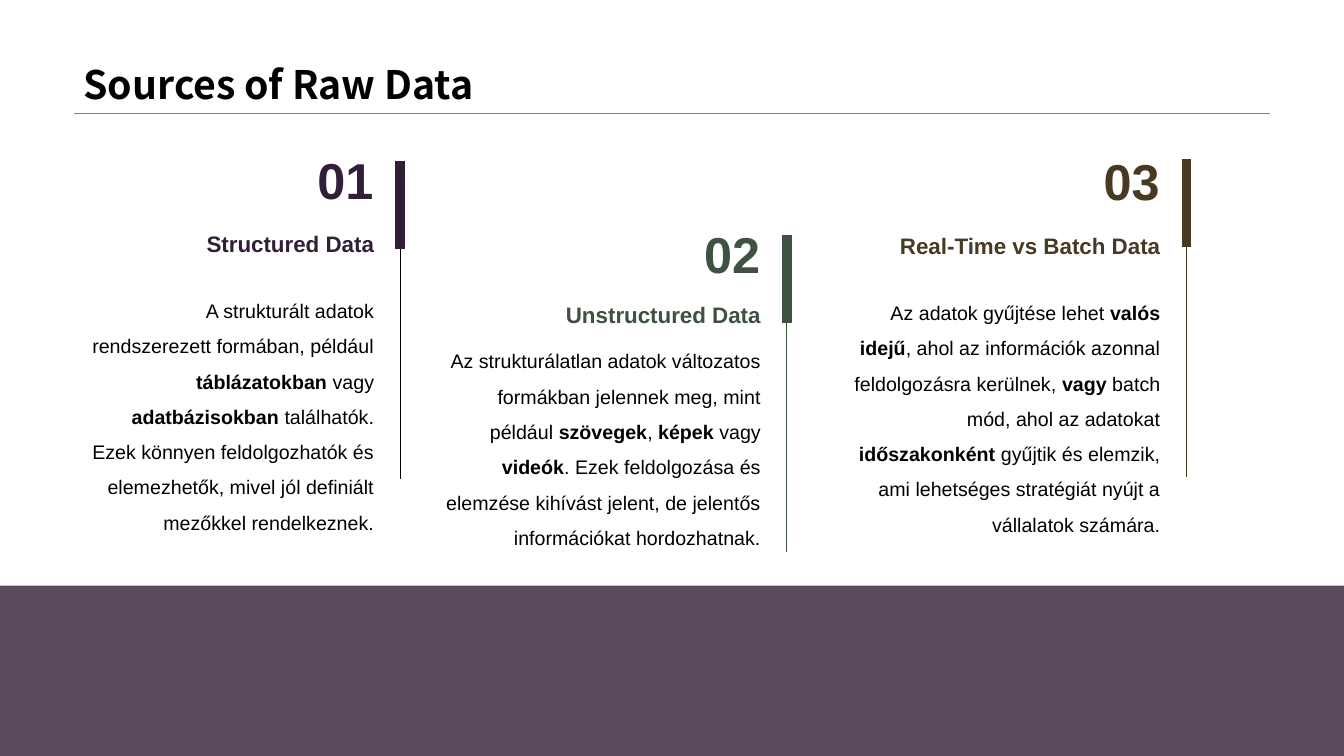
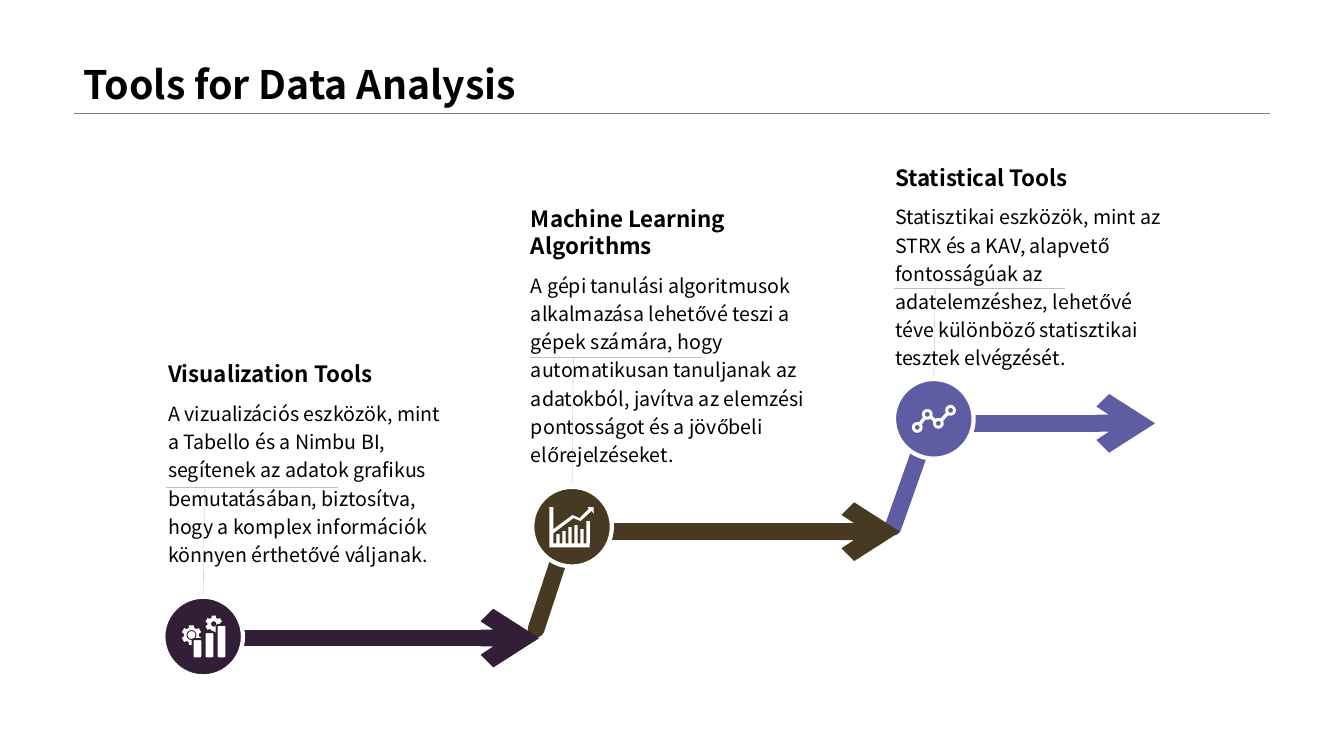
import math

from lxml import etree
from pptx import Presentation
from pptx import util as u
from pptx.dml.color import RGBColor
from pptx.enum import shapes, text
from pptx.oxml import ns

Pt = u.Pt
COLORS = {
    "plum": "321F37", "green": "3F513F", "brown": "483A22", "violet": "5E5CA2",
    "black": "000000", "white": "FFFFFF", "rule": "808080", "leader": "BFBFBF",
}
SANS, NOTO = "Arial", "Noto Sans CJK SC"


def rgb(name):
    return RGBColor.from_string(COLORS[name])


def sub(parent, tag, **attrs):
    return etree.SubElement(parent, ns.qn(tag), **attrs)


class Deck:
    def __init__(self):
        self.prs = Presentation()
        self.prs.slide_width, self.prs.slide_height = Pt(960), Pt(540)
        self.s = None

    def slide(self, title):
        self.s = self.prs.slides.add_slide(self.prs.slide_layouts[6])
        self.line((52.6, 80.8), (907.2, 80.8), "rule", 0.25)
        self.text((52.6, 0, 854.6, 80.6), f"*{title}*", 28, NOTO,
                  bottom=True, spacing=0.9)

    def line(self, start, end, color, width, arrow=False, cap=None):
        sp = self.s.shapes.add_connector(
            shapes.MSO_CONNECTOR.STRAIGHT, *map(Pt, start + end))
        sp.line.color.rgb = rgb(color)
        sp.line.width = Pt(width)
        ln = sp.line._get_or_add_ln()
        if cap:
            ln.set("cap", cap)
        if arrow:
            sub(ln, "a:tailEnd", type="arrow")
        sub(sp._element.spPr, "a:effectLst")

    def text(self, box, content, size, font, color="black", right=False,
             bottom=False, spacing=None, wrap=True):
        tf = self.s.shapes.add_textbox(*map(Pt, box)).text_frame
        tf.word_wrap = wrap
        anchor = text.MSO_ANCHOR
        tf.vertical_anchor = anchor.BOTTOM if bottom else anchor.TOP
        p = tf.paragraphs[0]
        p.alignment = text.PP_ALIGN.RIGHT if right else text.PP_ALIGN.LEFT
        if spacing:
            p.line_spacing = spacing
        for i, part in enumerate(content.split("*")):
            if part:
                r = p.add_run()
                r.text = part
                r.font.size, r.font.name = Pt(size), font
                r.font.bold = i % 2 == 1
                r.font.color.rgb = rgb(color)

    def paint(self, sp, fill, line=None, width=0):
        sp.shadow.inherit = False
        if fill:
            sp.fill.solid()
            sp.fill.fore_color.rgb = rgb(fill)
        else:
            sp.fill.background()
        if line:
            sp.line.color.rgb = rgb(line)
            sp.line.width = Pt(width)
        else:
            sp.line.fill.background()
        return sp

    def shape(self, kind, box, fill, line=None, width=0):
        sp = self.s.shapes.add_shape(kind, *map(Pt, box))
        return self.paint(sp, fill, line, width)

    def circle(self, center, radius, fill, line=None, width=0):
        x, y = center
        box = (x - radius, y - radius, 2 * radius, 2 * radius)
        return self.shape(shapes.MSO_SHAPE.OVAL, box, fill, line, width)

    def outline(self, center, contours, fill="white", line=None, width=0, close=True):
        cx, cy = center
        fb = None
        for contour in contours:
            pts = [(Pt(cx + x), Pt(cy + y)) for x, y in contour]
            if fb is None:
                fb = self.s.shapes.build_freeform(*pts[0], scale=1.0)
            else:
                fb.move_to(*pts[0])
            fb.add_line_segments(pts[1:], close=close)
        return self.paint(fb.convert_to_shape(), fill, line, width)

    def band(self, box, color, alpha):
        sp = self.shape(shapes.MSO_SHAPE.RECTANGLE, box, color)
        clr = sp._element.spPr.find(".//" + ns.qn("a:srgbClr"))
        sub(clr, "a:alpha", val=str(alpha * 1000))


def polar(radius, degrees):
    a = math.radians(degrees)
    return radius * math.cos(a), radius * math.sin(a)


def gear(radius, hole):
    teeth = [polar(radius * f, 60 * k - 90 + a) for k in range(6)
             for f, a in ((1, -14), (1, 14), (0.76, 20), (0.76, 40))]
    return [teeth, [polar(hole, a) for a in range(0, 360, 15)]]


def gears_icon(deck, center, color):
    cx, cy = center
    deck.outline((cx - 8.3, cy - 1.1), gear(7.2, 3.6))
    deck.circle((cx - 8.3, cy - 1.1), 2.8, "white")
    deck.outline((cx + 7.6, cy - 9), gear(6.1, 1.9))
    for i, top in enumerate((2.5, -2.5, -7.6)):
        box = (cx - 7.5 + 8.6 * i, cy + top - 0.7, 6.9, 16.2 - top)
        deck.shape(shapes.MSO_SHAPE.ROUNDED_RECTANGLE, box, "white", color, 1.4)


def chart_icon(deck, center, color):
    axes = [(-16.2, -14), (-13.3, -14), (-13.3, 11.9), (12.6, 11.9),
            (12.6, 14.8), (-16.2, 14.8)]
    trend = [(-13.3, 1.8), (0.4, -8.3), (5.4, -6.1), (11.9, -12.6), (11.2, -14),
             (15.5, -14), (15.5, -9), (14, -11.2), (6.1, -4), (1.1, -6.1),
             (-13.3, 4.7)]
    bars = []
    for i, top in enumerate((5.4, 3.2, 0.4, -1.1, 1.8, -4)):
        x = -11.2 + 4.3 * i
        bars.append([(x, top), (x + 2.4, top), (x + 2.4, 11.9), (x, 11.9)])
    deck.outline(center, [axes, trend] + bars)


def nodes_icon(deck, center, color):
    cx, cy = center
    nodes = [(-11.8, 6.1), (-4.6, -3.2), (3.3, 3.2), (12, -6.1)]
    deck.outline(center, [nodes], None, "white", 2.5, close=False)
    for x, y in nodes:
        deck.circle((cx + x, cy + y), 2.8, color, "white", 2.1)


SOURCES = [
    ("01", "Structured Data", "plum", "black", 285.8, 115.2, 103, 160.6, 201.6, 221.8,
     "A strukturált adatok rendszerezett formában, például *táblázatokban* vagy "
     "*adatbázisokban* találhatók. Ezek könnyen feldolgozhatók és elemezhetők, "
     "mivel jól definiált mezőkkel rendelkeznek."),
    ("02", "Unstructured Data", "green", "green", 562, 167.8, 155.5, 211, 237.6, 245.5,
     "Az strukturálatlan adatok változatos formákban jelennek meg, mint például "
     "*szövegek*, *képek* vagy *videók*. Ezek feldolgozása és elemzése kihívást "
     "jelent, de jelentős információkat hordozhatnak."),
    ("03", "Real-Time vs Batch Data", "brown", "brown", 847.4, 113.8, 103.7, 162, 203, 244,
     "Az adatok gyűjtése lehet *valós idejű*, ahol az információk azonnal "
     "feldolgozásra kerülnek, *vagy* batch mód, ahol az adatokat *időszakonként* "
     "gyűjtik és elemzik, ami lehetséges stratégiát nyújt a vállalatok számára."),
]

STEPS = [
    ("Visualization Tools", "plum", gears_icon, (145.1, 454.7), 113, 280.1, 26.6,
     347.8, 118.8, 455.8, 385.2, None,
     "A vizualizációs eszközök, mint a Tabello és a Nimbu BI, segítenek az adatok "
     "grafikus bemutatásában, biztosítva, hogy a komplex információk könnyen "
     "érthetővé váljanak."),
    ("Machine Learning Algorithms", "brown", chart_icon, (408.6, 376.2), 372.2, 188.6,
     45.4, 254.9, 378.7, 379.8, 643, (383, 449.3),
     "A gépi tanulási algoritmusok alkalmazása lehetővé teszi a gépek számára, hogy "
     "automatikusan tanuljanak az adatokból, javítva az elemzési pontosságot és a "
     "jövőbeli előrejelzéseket."),
    ("Statistical Tools", "violet", nodes_icon, (667, 299.2), 632.2, 139.7, 26.6,
     205.9, 638.6, 302.4, 825.1, (637.9, 376.6),
     "Statisztikai eszközök, mint az STRX és a KAV, alapvető fontosságúak az "
     "adatelemzéshez, lehetővé téve különböző statisztikai tesztek elvégzését."),
]


def sources_slide(deck):
    deck.slide("Sources of Raw Data")
    for (number, name, color, thin, x, top, number_y, name_y, body_y, width,
         body) in SOURCES:
        left = x - 11.5 - width
        deck.line((x, top + 226.8), (x, top), thin, 0.75)
        deck.line((x, top + 62.6), (x, top), color, 6.75)
        deck.text((x - 66.2, number_y, 54.7, 50.4), f"*{number}*", 36, SANS, color,
                  bottom=True, wrap=False)
        deck.text((left, name_y, width, 26.6), f"*{name}*", 16, SANS, color,
                  right=True, bottom=True)
        deck.text((left, body_y, width, 183.6), body, 14, SANS,
                  right=True, spacing=1.5)
    deck.band((0, 418.3, 960, 121.7), "plum", 80)


def tools_slide(deck):
    deck.slide("Tools for Data Analysis")
    for _, color, _, (cx, _), *_, arrow_y, _, foot, _ in reversed(STEPS):
        if foot:
            deck.line((cx - 2.8, arrow_y), foot, color, 12, cap="rnd")
    for (name, color, icon, center, x, body_y, name_h, leader_y, leader_x, arrow_y,
         tip, _, body) in STEPS:
        cx, cy = center
        deck.line((cx - 2.5, arrow_y), (tip, arrow_y), color, 12, arrow=True)
        deck.line((cx, cy - 28.45), (cx + 1, leader_y), "leader", 0.25)
        deck.line((leader_x, leader_y), (leader_x + 122.4, leader_y), "leader", 0.25)
        deck.circle(center, 28.45, color, "white", 3)
        icon(deck, center, color)
        deck.text((x, body_y - name_h, 214.6, name_h), f"*{name}*", 16, NOTO,
                  bottom=True)
        deck.text((x, body_y, 214.6, 128.2), body, 14, NOTO, spacing=1.2)


def main():
    deck = Deck()
    sources_slide(deck)
    tools_slide(deck)
    deck.prs.save("out.pptx")


if __name__ == "__main__":
    main()
